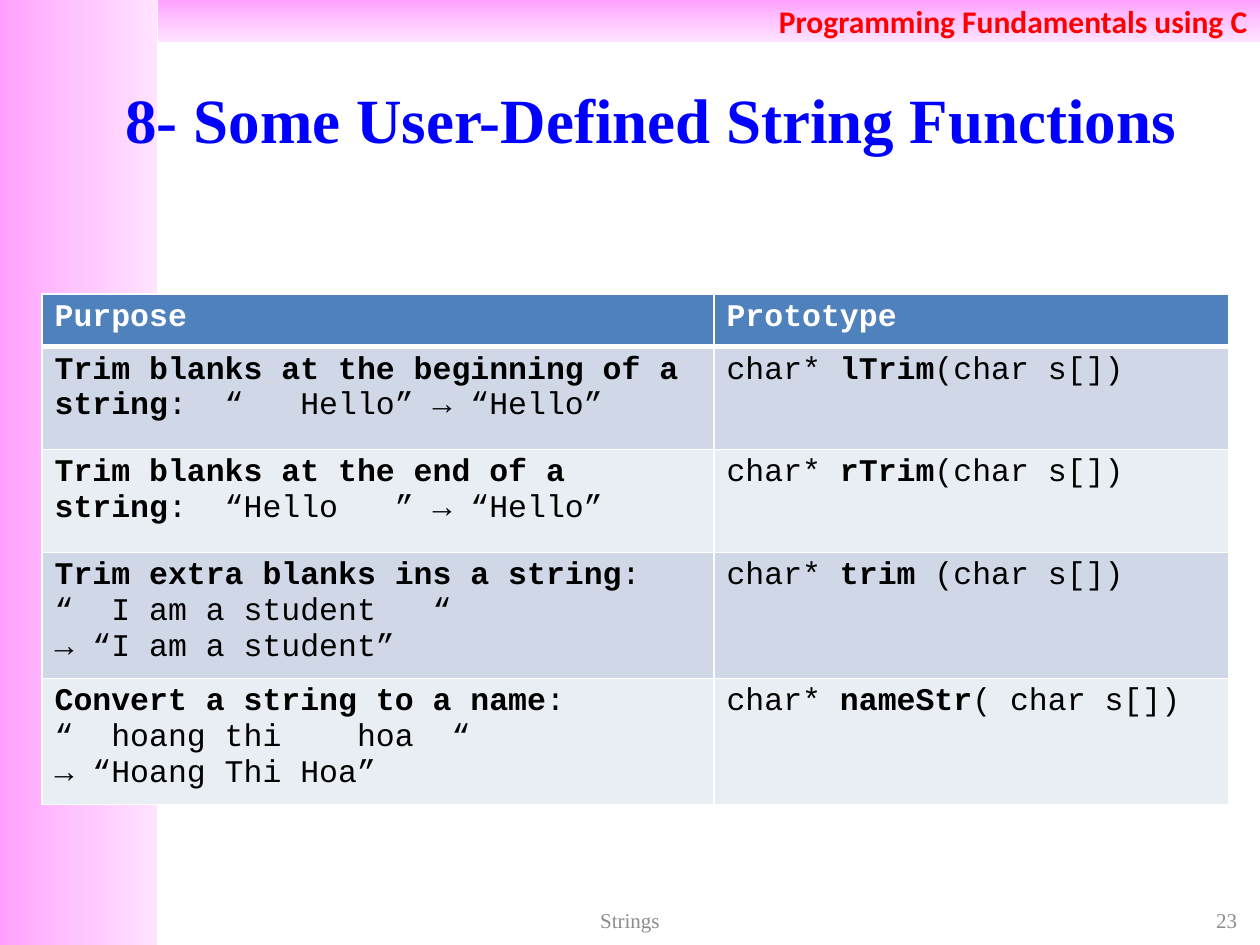
from copy import deepcopy
from dataclasses import dataclass
from typing import NamedTuple

from lxml.etree import SubElement
from pptx import Presentation
from pptx.dml.color import RGBColor
from pptx.enum.shapes import MSO_SHAPE as Preset
from pptx.enum.text import MSO_ANCHOR as Anchor, PP_ALIGN as Align
from pptx.oxml.ns import qn
from pptx.util import Emu, Pt

PX = 7620  # EMU per px, 120 px to the inch


@dataclass(frozen=True)
class Theme:
    band: tuple = ("FFA0FF", "FFC5FF", "FFE3FF")
    course: str = "FF0000"
    title: str = "0000FF"
    muted: str = "8C8C8C"
    text: str = "000000"
    white: str = "FFFFFF"
    header_fill: str = "4F81BD"
    row_fills: tuple = ("D0D8E8", "E9EDF4")
    sans: str = "Calibri"
    serif: str = "Times New Roman"
    mono: str = "Courier New"
    title_size: int = 36
    body_size: int = 18
    footer_size: int = 12
    rule: int = 1
    header_rule: int = 3


THEME = Theme()


class Box(NamedTuple):
    left: int
    top: int
    width: int
    height: int


class Run(NamedTuple):
    text: str
    bold: bool = False


class Style(NamedTuple):
    font: str
    size: int
    color: str
    align: Align = Align.LEFT


class Band(NamedTuple):
    box: Box
    angle: int


class Label(NamedTuple):
    box: Box
    run: Run
    style: Style


class Function(NamedTuple):
    purpose: str
    example: str
    further_lines: tuple
    name: str
    arguments: str


BANDS = (
    Band(Box(0, 0, 150, 900), 0),
    Band(Box(150, 0, 1050, 40), 270),
)
COURSE = Run("Programming Fundamentals using C", True)
COURSE_STYLE = Style(THEME.sans, THEME.body_size, THEME.course, Align.RIGHT)
LABELS = (
    Label(Box(100, 36, 1040, 154), Run("8- Some User-Defined String Functions", True),
          Style(THEME.serif, THEME.title_size, THEME.title, Align.CENTER)),
    Label(Box(910, 860, 280, 32), Run("23"),
          Style(THEME.serif, THEME.footer_size, THEME.muted, Align.RIGHT)),
    Label(Box(410, 860, 380, 32), Run("Strings"),
          Style(THEME.serif, THEME.footer_size, THEME.muted, Align.CENTER)),
)
TABLE_AT = (40, 280)
COLUMN_WIDTHS = (640, 490)
HEADER_HEIGHT, ROW_HEIGHT = 50, 98
HEADINGS = ("Purpose", "Prototype")
FUNCTIONS = (
    Function("Trim blanks at the beginning of a string",
             ":  “   Hello” → “Hello”", (), "lTrim", "(char s[])"),
    Function("Trim blanks at the end of a string",
             ":  “Hello   ” → “Hello”", (), "rTrim", "(char s[])"),
    Function("Trim extra blanks ins a string", ":",
             ("“  I am a student   “", "→ “I am a student”"),
             "trim", " (char s[])"),
    Function("Convert a string to a name", ":",
             ("“  hoang thi    hoa  “", "→ “Hoang Thi Hoa”"),
             "nameStr", "( char s[])"),
)


def emu(box: Box) -> list:
    return [Emu(length * PX) for length in box]


def write(frame, lines: list, style: Style) -> None:
    """Each line is a list of runs and becomes one paragraph."""
    frame.word_wrap = True
    for index, runs in enumerate(lines):
        paragraph = frame.add_paragraph() if index else frame.paragraphs[0]
        paragraph.alignment = style.align
        for text, bold in runs:
            run = paragraph.add_run()
            run.text = text
            formats = {"name": style.font, "size": Pt(style.size), "bold": bold}
            for key, value in formats.items():
                setattr(run.font, key, value)
            run.font.color.rgb = RGBColor.from_string(style.color)


def add_band(slide, band: Band):
    shape = slide.shapes.add_shape(Preset.RECTANGLE, *emu(band.box))
    shape.shadow.inherit = False
    shape.line.fill.background()
    shape.fill.gradient()
    shape.fill.gradient_angle = band.angle
    # A new gradient has two stops; the band needs a third
    stop_list = shape._element.spPr.find(qn("a:gradFill")).find(qn("a:gsLst"))
    stop_list.append(deepcopy(stop_list[0]))
    for index, (stop, color) in enumerate(zip(shape.fill.gradient_stops, THEME.band)):
        stop.position = index / 2
        stop.color.rgb = RGBColor.from_string(color)
    return shape


def add_label(slide, label: Label) -> None:
    frame = slide.shapes.add_textbox(*emu(label.box)).text_frame
    frame.vertical_anchor = Anchor.MIDDLE
    write(frame, [[label.run]], label.style)


def fill_cell(cell, lines: list, color: str, fill: str, top: int, bottom: int) -> None:
    properties = cell._tc.get_or_add_tcPr()
    widths = {"L": THEME.rule, "R": THEME.rule, "T": top, "B": bottom}
    for side, width in widths.items():
        border = SubElement(properties, qn(f"a:ln{side}"), w=str(Pt(width)))
        solid = SubElement(border, qn("a:solidFill"))
        SubElement(solid, qn("a:srgbClr"), val=THEME.white)
    cell.fill.solid()
    cell.fill.fore_color.rgb = RGBColor.from_string(fill)
    write(cell.text_frame, lines, Style(THEME.mono, THEME.body_size, color))


def add_function_table(slide) -> None:
    heights = [HEADER_HEIGHT] + [ROW_HEIGHT] * len(FUNCTIONS)
    box = Box(*TABLE_AT, sum(COLUMN_WIDTHS), sum(heights))
    table = slide.shapes.add_table(len(heights), len(COLUMN_WIDTHS), *emu(box)).table
    for column, width in zip(table.columns, COLUMN_WIDTHS):
        column.width = Emu(width * PX)
    for row, height in zip(table.rows, heights):
        row.height = Emu(height * PX)

    # Header row
    for column, heading in enumerate(HEADINGS):
        fill_cell(table.cell(0, column), [[Run(heading, True)]], THEME.white,
                  THEME.header_fill, THEME.rule, THEME.header_rule)

    # One row for each function
    for row, function in enumerate(FUNCTIONS, 1):
        purpose = [[Run(function.purpose, True), Run(function.example)]]
        purpose += [[Run(line)] for line in function.further_lines]
        prototype = [[Run("char* "), Run(function.name, True), Run(function.arguments)]]
        top = THEME.header_rule if row == 1 else THEME.rule
        fill = THEME.row_fills[(row - 1) % 2]
        for column, lines in enumerate((purpose, prototype)):
            fill_cell(table.cell(row, column), lines, THEME.text, fill, top, THEME.rule)


def main() -> None:
    presentation = Presentation()
    presentation.slide_width, presentation.slide_height = Emu(1200 * PX), Emu(900 * PX)
    slide = presentation.slides.add_slide(presentation.slide_layouts[6])

    # Side band, and top band with the course name
    _, top_band = [add_band(slide, band) for band in BANDS]
    top_band.text_frame.vertical_anchor = Anchor.MIDDLE
    write(top_band.text_frame, [[COURSE]], COURSE_STYLE)

    # Title and footer, then the table
    for label in LABELS:
        add_label(slide, label)
    add_function_table(slide)

    presentation.save("out.pptx")


if __name__ == "__main__":
    main()
